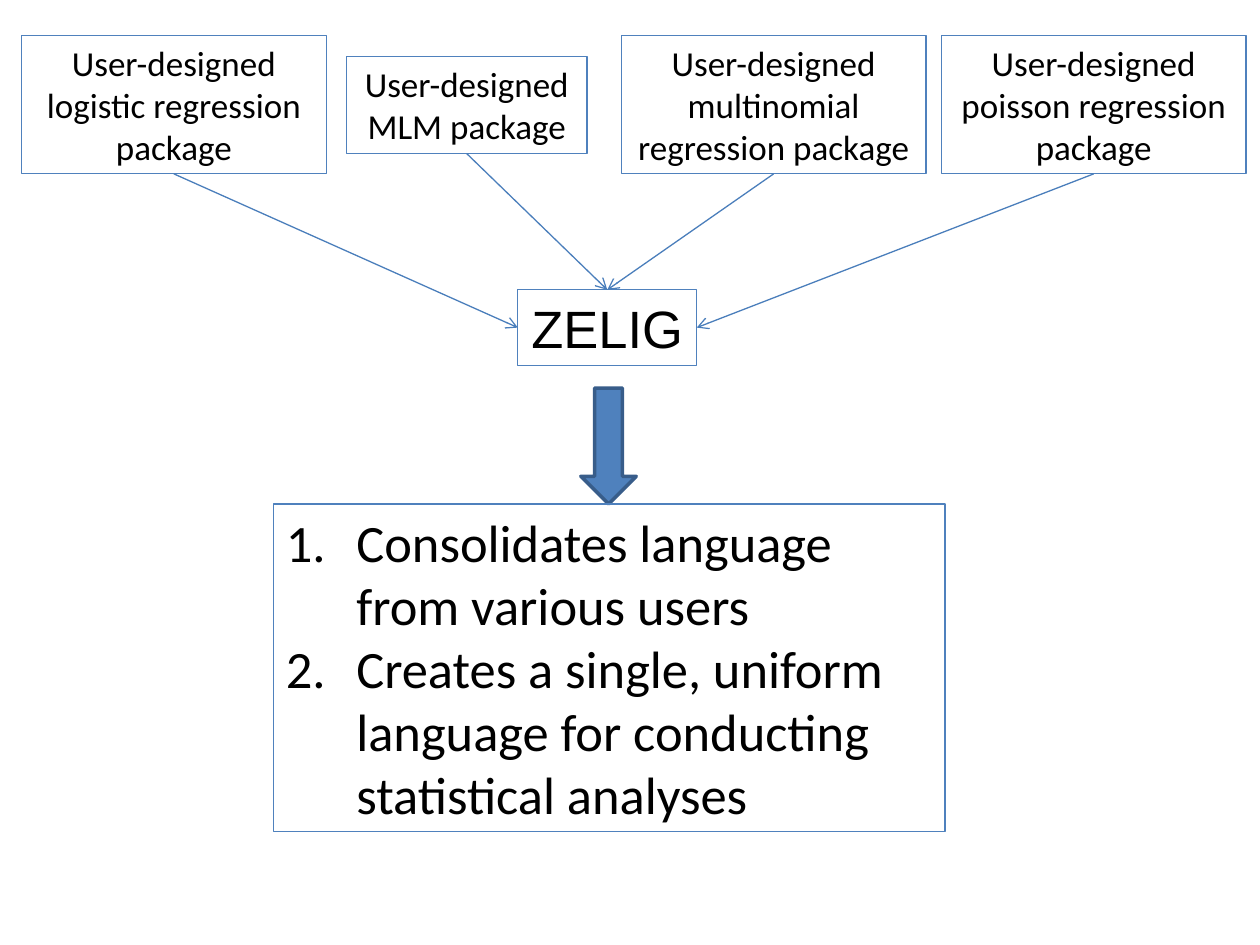
"""Build a slide showing four user packages feeding ZELIG and what it does."""
from lxml import etree
from pptx import Presentation
from pptx.dml.color import RGBColor
from pptx.enum.shapes import MSO_CONNECTOR, MSO_SHAPE
from pptx.enum.text import MSO_ANCHOR, MSO_AUTO_SIZE, PP_ALIGN
from pptx.oxml.ns import qn
from pptx.util import Inches, Pt

RECT, DOWN_ARROW = MSO_SHAPE.RECTANGLE, MSO_SHAPE.DOWN_ARROW
STRAIGHT = MSO_CONNECTOR.STRAIGHT
LEFT, CENTER = PP_ALIGN.LEFT, PP_ALIGN.CENTER
TOP, LEFT_SIDE, BOTTOM, RIGHT_SIDE = range(4)

prs = Presentation()
prs.slide_width, prs.slide_height = Inches(10), Inches(7.5)
COL, ROW = prs.slide_width / 100, prs.slide_height / 75
s = prs.slides.add_slide(prs.slide_layouts[6])


def add_shape(kind, x, y, w, h, line, width):
    sp = s.shapes.add_shape(kind, round(x * COL), round(y * ROW), round(w * COL), round(h * ROW))
    sp.shadow.inherit = False
    sp.fill.background()
    sp.line.color.rgb = RGBColor.from_string(line)
    sp.line.width = Pt(width)
    return sp


def add_box(x, y, w, h, lines, size, font="Calibri", align=CENTER):
    sp = add_shape(RECT, x, y, w, h, "4F81BD", 0.75)
    tf = sp.text_frame
    tf.word_wrap = True
    tf.auto_size = MSO_AUTO_SIZE.SHAPE_TO_FIT_TEXT
    tf.vertical_anchor = MSO_ANCHOR.TOP
    for i, text in enumerate(lines):
        p = tf.add_paragraph() if i else tf.paragraphs[0]
        p.alignment = align
        r = p.add_run()
        r.text = text
        r.font.size = Pt(size)
        r.font.name = font
        r.font.color.rgb = RGBColor.from_string("000000")
    return sp


zelig = add_box(41.1, 23, 14.2, 6, ["ZELIG"], 30, "Arial")

packages = [
    ("logistic regression", 1.7, 2.8, 24.2, 11, LEFT_SIDE),
    ("MLM", 27.5, 4.5, 19.1, 7.7, TOP),
    ("multinomial regression", 49.3, 2.8, 24.2, 11, TOP),
    ("poisson regression", 74.7, 2.8, 24.2, 11, RIGHT_SIDE),
]
for model, x, y, w, h, side in packages:
    sp = add_box(x, y, w, h, [f"User-designed {model} package"], 20)
    link = s.shapes.add_connector(STRAIGHT, 0, 0, 0, 0)
    link.begin_connect(sp, BOTTOM)
    link.end_connect(zelig, side)
    link.line.color.rgb = RGBColor.from_string("4A7EBB")
    link.line.width = Pt(0.75)
    etree.SubElement(link.line._get_or_add_ln(), qn("a:tailEnd"), type="arrow")
    etree.SubElement(link._element.spPr, qn("a:effectLst"))

arrow = add_shape(DOWN_ARROW, 46.1, 30.8, 4.4, 9.2, "385D8A", 2)
arrow.fill.solid()
arrow.fill.fore_color.rgb = RGBColor.from_string("4F81BD")

benefits = add_box(21.7, 40, 53.3, 26, [
    "Consolidates language from various users",
    "Creates a single, uniform language for conducting statistical analyses",
], 30, align=LEFT)
for p in benefits.text_frame.paragraphs:
    pPr = p._p.get_or_add_pPr()
    pPr.set("marL", str(round(5.6 * COL)))
    pPr.set("indent", str(round(-5.6 * COL)))
    etree.SubElement(pPr, qn("a:buFont"), typeface="+mj-lt")
    etree.SubElement(pPr, qn("a:buAutoNum"), type="arabicPeriod")

prs.save("out.pptx")
